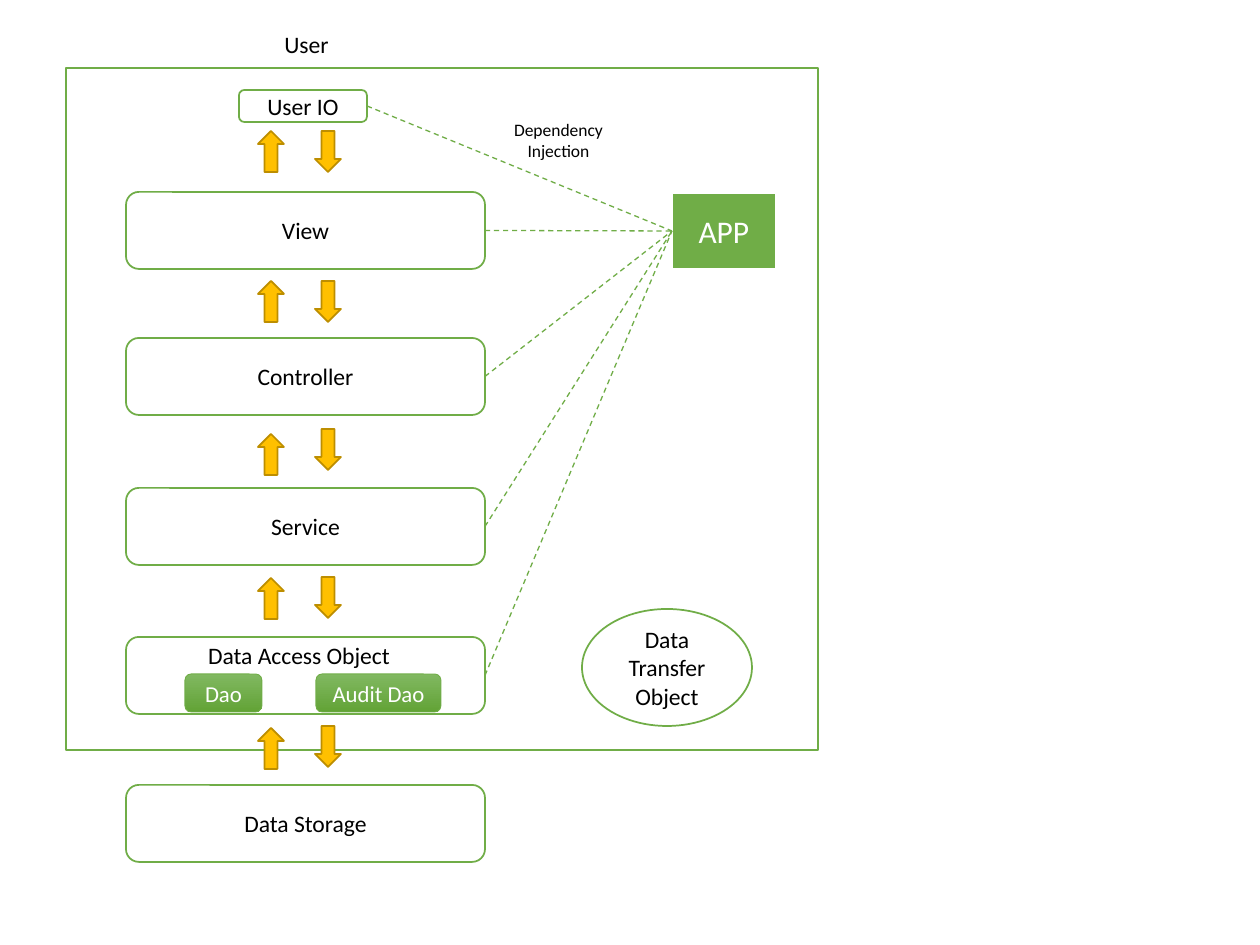
from lxml.etree import SubElement
from pptx import Presentation
from pptx.dml.color import RGBColor
from pptx.enum.dml import MSO_LINE
from pptx.enum.shapes import MSO_CONNECTOR, MSO_SHAPE as SHAPE
from pptx.enum.text import MSO_ANCHOR, PP_ALIGN
from pptx.oxml.ns import qn
from pptx.util import Pt

PX = 7257  # EMU per px, at 126 px to the inch
COLORS = {"green": "70AD47", "gold": "FFC000", "dark gold": "BD8E00",
          "white": "FFFFFF", "black": "000000",
          "light green": "81B861", "deep green": "62A336"}

FRAME = (66, 68, 752, 682)
USER_IO = (239, 90, 128, 32)
APP = (672, 193, 104, 76)
TRANSFER_OBJECT = (582, 609, 170, 117)
LAYER_LEFT, LAYER_WIDTH, LAYER_HEIGHT = 126, 359, 77
# name, top, joined to the app
LAYERS = [("View", 192, True), ("Controller", 338, True), ("Service", 488, True),
          ("", 637, True), ("Data Storage", 785, False)]
DAOS = [("Dao", 185, 77), ("Audit Dao", 316, 125)]
DAO_TOP, DAO_HEIGHT = 674, 38
# top of the up arrow, top of the down arrow
ARROW_TOPS = [(131, 131), (281, 281), (434, 429), (578, 577), (728, 726)]
UP_LEFT, DOWN_LEFT, ARROW_WIDTH, ARROW_HEIGHT = 258, 315, 26, 41
# text, place, format
LABELS = [("User", (271, 24, 71, 42), {}),
          ("Data Access Object", (194, 635, 210, 42), {}),
          ("Dependency Injection", (501, 113, 115, 55), {"size": 10, "wrap": True})]


def emu(*lengths):
    return [round(length * PX) for length in lengths]


def rgb(name):
    return RGBColor.from_string(COLORS[name])


def write(box, text, size=13.5, color="black", wrap=True, anchor=MSO_ANCHOR.MIDDLE):
    frame = box.text_frame
    frame.word_wrap = wrap
    frame.vertical_anchor = anchor
    frame.margin_left, frame.margin_right = emu(9, 9)
    para = frame.paragraphs[0]
    para.alignment = PP_ALIGN.CENTER
    span = para.add_run()
    span.text = text
    span.font.name, span.font.size = "Calibri", Pt(size)
    span.font.color.rgb = rgb(color)


def add_block(page, kind, place, text="", fill="white", line="green", weight=1, **style):
    """Draw a filled shape; a pair of fill names makes a downward gradient."""
    block = page.shapes.add_shape(kind, *emu(*place))
    block.shadow.inherit = False
    if isinstance(fill, tuple):
        block.fill.gradient()
        block.fill.gradient_angle = 270
        for stop, name in zip(block.fill.gradient_stops, fill):
            stop.color.rgb = rgb(name)
    else:
        block.fill.solid()
        block.fill.fore_color.rgb = rgb(fill)
    block.line.color.rgb = rgb(line)
    block.line.width = Pt(weight)
    if text:
        write(block, text, **style)


def add_injection(page, place):
    """Join the right side of a block to the left side of the app."""
    left, top, width, height = place
    link = page.shapes.add_connector(
        MSO_CONNECTOR.STRAIGHT,
        *emu(left + width, top + height / 2, APP[0], APP[1] + APP[3] / 2))
    link.line.color.rgb = rgb("green")
    link.line.width = Pt(0.75)
    link.line.dash_style = MSO_LINE.DASH
    SubElement(link._element.spPr, qn("a:effectLst"))


def main():
    deck = Presentation()
    deck.slide_width, deck.slide_height = emu(1260, 945)
    page = deck.slides.add_slide(deck.slide_layouts[6])

    add_block(page, SHAPE.RECTANGLE, FRAME)
    joined = [USER_IO]
    for name, top, is_joined in LAYERS:
        place = (LAYER_LEFT, top, LAYER_WIDTH, LAYER_HEIGHT)
        add_block(page, SHAPE.ROUNDED_RECTANGLE, place, name)
        if is_joined:
            joined.append(place)
    add_block(page, SHAPE.OVAL, TRANSFER_OBJECT, "Data Transfer Object")
    add_block(page, SHAPE.ROUNDED_RECTANGLE, USER_IO, "User IO")

    for up_top, down_top in ARROW_TOPS:
        for kind, left, top in ((SHAPE.UP_ARROW, UP_LEFT, up_top),
                                (SHAPE.DOWN_ARROW, DOWN_LEFT, down_top)):
            add_block(page, kind, (left, top, ARROW_WIDTH, ARROW_HEIGHT),
                      fill="gold", line="dark gold")

    add_block(page, SHAPE.RECTANGLE, APP, "APP", fill="green", line="white",
              weight=1.5, size=18, color="white")
    for place in joined:
        add_injection(page, place)

    for name, left, width in DAOS:
        add_block(page, SHAPE.ROUNDED_RECTANGLE, (left, DAO_TOP, width, DAO_HEIGHT), name,
                  fill=("light green", "deep green"), weight=0.5, size=13, color="white")
    for text, place, style in LABELS:
        box = page.shapes.add_textbox(*emu(*place))
        write(box, text, **{"wrap": False, "anchor": MSO_ANCHOR.TOP, **style})

    deck.save("out.pptx")


if __name__ == "__main__":
    main()
